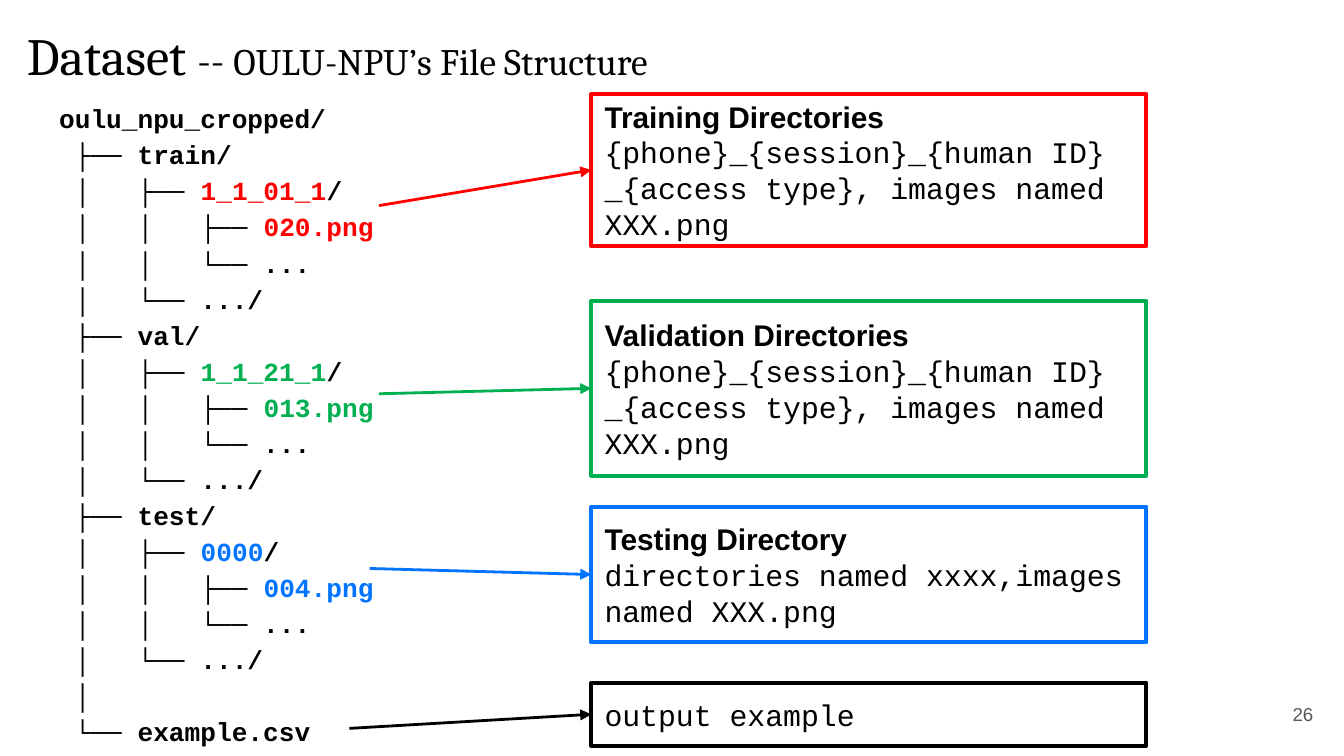
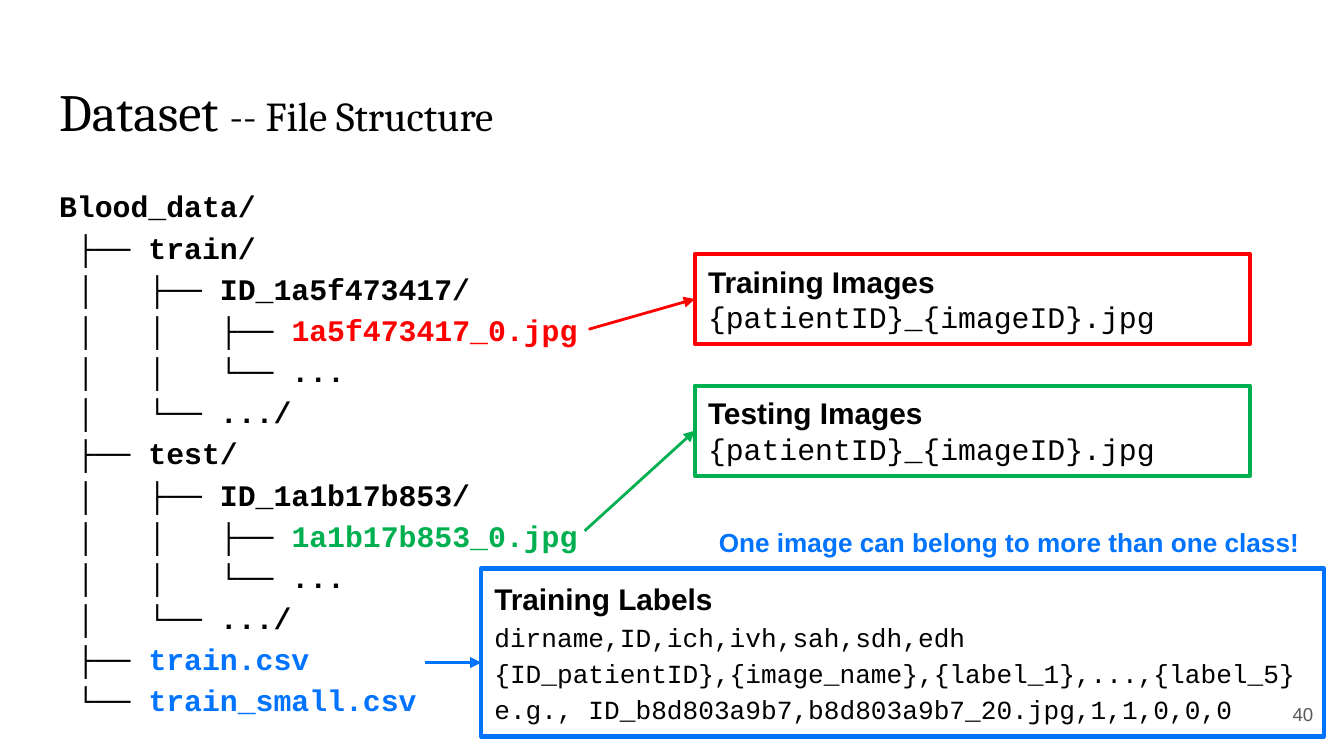
from lxml.etree import SubElement
from pptx import Presentation
from pptx.dml.color import RGBColor as RGB
from pptx.enum.shapes import MSO_CONNECTOR as CONN, MSO_SHAPE as SHAPE
from pptx.enum.text import MSO_ANCHOR as ANCHOR, MSO_AUTO_SIZE as FIT, PP_ALIGN as ALIGN
from pptx.oxml.ns import qn
from pptx.util import Emu, Inches, Pt

# Shared style: a grid of 100 columns by 56.25 rows
W, H = Inches(10), Inches(5.625)
COL, ROW = W / 100, H / 56.25
COLORS = {"black": "000000", "red": "FF0000", "green": "00B050",
          "blue": "0073FF", "gray": "595959"}
SERIF, SANS, MONO = "Cambria", "Arial", "Courier New"
TEE, END, BAR = "├── ", "└── ", "│"


def color(name):
    return RGB.from_string(COLORS[name])


def grid(x, y, *size):
    return [Emu(round(v * unit)) for v, unit in zip((x, y, *size), (COL, ROW) * 2)]


# Text
def add_run(p, text, size=16, font=SANS, fill="black", bold=False):
    r = p.add_run()
    r.text = text
    f = r.font
    f.size, f.bold, f.name = Pt(size), bold, font
    f.color.rgb = color(fill)
    for tag in ("a:ea", "a:cs"):
        SubElement(r.font._element, qn(tag)).set("typeface", font)


def next_paragraph(tf, first, spacing=None, align=ALIGN.LEFT):
    p = tf.paragraphs[0] if first else tf.add_paragraph()
    p.alignment, p.space_before = align, Pt(0)
    if spacing:
        p.line_spacing = spacing
    return p


def frame(sp, anchor, inset_y=0.1):
    tf = sp.text_frame
    tf.word_wrap, tf.auto_size, tf.vertical_anchor = True, FIT.NONE, anchor
    tf.margin_left = tf.margin_right = Inches(0.1)
    tf.margin_top = tf.margin_bottom = Inches(inset_y)
    return tf


def place(sp, *box):
    sp.left, sp.top, sp.width, sp.height = grid(*box)


def add_title(s, x, y, *parts):
    sp = s.shapes.title
    place(sp, x, y, 93.2, 6.3)
    p = next_paragraph(frame(sp, ANCHOR.TOP), True)
    for text, size in parts:
        add_run(p, text, size, SERIF)


def add_label(s, box, text, align, **fmt):
    sp = s.shapes.add_textbox(*grid(*box))
    p = next_paragraph(frame(sp, ANCHOR.MIDDLE), True, align=align)
    add_run(p, text, **fmt)


def add_page_number(s, number):
    add_label(s, (92.7, 51, 6, 4.3), number, ALIGN.RIGHT, size=10, fill="gray")


# Directory tree: rows of (depth, branch, name, colour); a closing slash stays black
def add_tree(s, y, height, size, root, rows):
    sp = s.placeholders[1]
    place(sp, 3.4, y, 93.2, height)
    tf = frame(sp, ANCHOR.TOP)
    for i, (depth, branch, name, *fill) in enumerate([(0, "", root), *rows]):
        p = next_paragraph(tf, i == 0, 1.15)
        pPr = p._p.get_or_add_pPr()
        pPr.set("marL", "0")
        pPr.set("indent", "0")
        SubElement(pPr, qn("a:buNone"))
        stem = " " + (BAR + "   ") * (depth - 1) + branch if depth else ""
        if not fill:
            add_run(p, stem + name, size, MONO, bold=True)
            continue
        add_run(p, stem, size, MONO, bold=True)
        add_run(p, name.rstrip("/"), size, MONO, fill[0], True)
        if name.endswith("/"):
            add_run(p, "/", size, MONO, bold=True)


def folder(branch, name, *children):
    """A top-level folder: its first entries, then the two 'and so on' rows."""
    return [(1, branch, name), *children, (3, END, "..."), (2, END, ".../")]


# Outlined note with an arrow coming from the tree
def add_note(s, box, fill, heading, lines, size=16, spacing=None):
    sp = s.shapes.add_shape(SHAPE.RECTANGLE, *grid(*box))
    sp.shadow.inherit = False
    sp.fill.background()
    sp.line.color.rgb, sp.line.width = color(fill), Pt(2.25)
    tf = frame(sp, ANCHOR.MIDDLE, 0.05)
    if heading:
        add_run(next_paragraph(tf, True), heading, bold=True)
    for i, text in enumerate(lines):
        p = next_paragraph(tf, i == 0 and not heading, spacing)
        add_run(p, text, size, MONO)
    return sp


def add_arrow(s, start, fill, note=None, end=(0, 0)):
    c = s.shapes.add_connector(CONN.STRAIGHT, *grid(*start), *grid(*end))
    if note:
        c.end_connect(note, 1)
    c.line.color.rgb, c.line.width = color(fill), Pt(1.5)
    SubElement(c.line._get_or_add_ln(), qn("a:tailEnd")).set("type", "triangle")
    SubElement(c._element.spPr, qn("a:effectLst"))


# Slides
def oulu_slide(s):
    add_title(s, 1, 0.7, ("Dataset ", 28), ("-- ", 22), ("OULU-NPU’s File Structure", 20))
    rows = []
    for name, sample, image, fill in (("train/", "1_1_01_1/", "020.png", "red"),
                                      ("val/", "1_1_21_1/", "013.png", "green"),
                                      ("test/", "0000/", "004.png", "blue")):
        rows += folder(TEE, name, (2, TEE, sample, fill), (3, TEE, image, fill))
    rows += [(1, BAR, ""), (1, END, "example.csv")]
    add_tree(s, 6.3, 49.2, 14, "oulu_npu_cropped/", rows)

    pattern = "{phone}_{session}_{human ID}_{access type}, images named XXX.png"
    for y, h, fill, heading, text, start in (
            (7, 11.3, "red", "Training Directories", pattern, (28.2, 15.3)),
            (22.4, 13, "green", "Validation Directories", pattern, (28.2, 29.3)),
            (37.7, 10.1, "blue", "Testing Directory",
             "directories named xxxx,images named XXX.png", (27.5, 42.3)),
            (50.8, 4.7, "black", None, "output example", (26, 54.2))):
        note = add_note(s, (44, y, 41.3, h), fill, heading, [text])
        add_arrow(s, start, fill, note)
    add_page_number(s, "26")


def blood_slide(s):
    add_title(s, 3.4, 4.9, ("Dataset ", 28), ("-- File Structure", 22))
    rows = []
    for name, sample, fill in (("train/", "1a5f473417", "red"),
                               ("test/", "1a1b17b853", "green")):
        rows += folder(TEE, name, (2, TEE, f"ID_{sample}/"),
                       (3, TEE, f"{sample}_0.jpg", fill))
    rows += [(1, TEE, "train.csv", "blue"), (1, END, "train_small.csv", "blue")]
    add_tree(s, 12.6, 41.2, 16, "Blood_data/", rows)

    for y, fill, heading, start in ((18.9, "red", "Training Images", (43.8, 24.5)),
                                    (28.7, "green", "Testing Images", (43.5, 39.5))):
        note = add_note(s, (51.7, y, 41.3, 6.7), fill, heading,
                        ["{patientID}_{imageID}.jpg"])
        add_arrow(s, start, fill, note)
    add_note(s, (35.8, 42.3, 62.7, 12.5), "blue", "Training Labels",
             ["dirname,ID,ich,ivh,sah,sdh,edh",
              "{ID_patientID},{image_name},{label_1},...,{label_5}",
              "e.g., ID_b8d803a9b7,b8d803a9b7_20.jpg,1,1,0,0,0"], 14, 1.15)
    add_arrow(s, (31.6, 49.3), "blue", end=(35.8, 49.3))
    add_label(s, (51.7, 38.4, 46.8, 3.9), "One image can belong to more than one class!",
              ALIGN.CENTER, size=14, fill="blue", bold=True)
    add_page_number(s, "40")


def main():
    prs = Presentation()
    prs.slide_width, prs.slide_height = W, H
    for build in (oulu_slide, blood_slide):
        build(prs.slides.add_slide(prs.slide_layouts[1]))
    prs.save("out.pptx")


if __name__ == "__main__":
    main()
